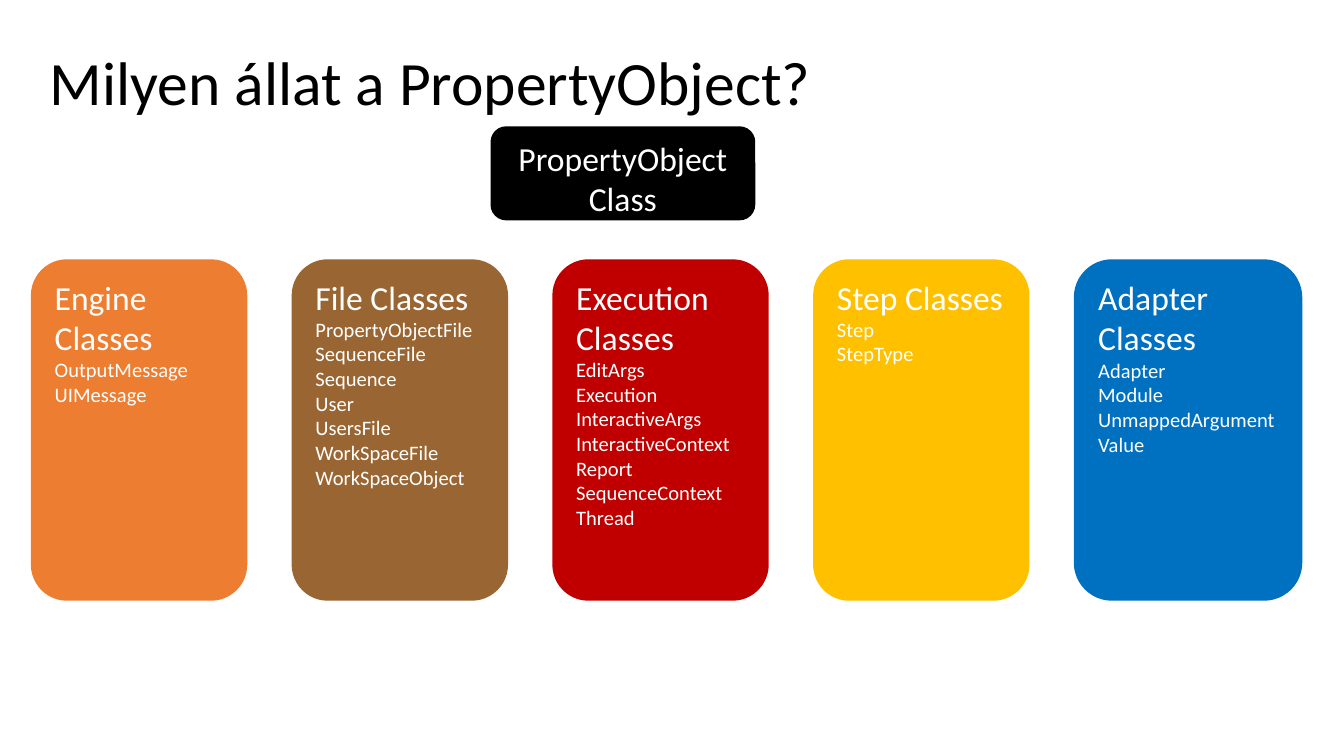
from dataclasses import dataclass

from pptx import Presentation
from pptx.dml.color import RGBColor
from pptx.enum import shapes, text
from pptx.util import Inches, Pt

FONT = "Calibri"
COLOURS = {
    "black": "000000",
    "white": "FFFFFF",
    "orange": "ED7D31",
    "brown": "996633",
    "red": "C00000",
    "yellow": "FFC000",
    "blue": "0070C0",
}
HEADING_SIZE = 18
MEMBER_SIZE = 11

# Class columns: equal steps from the left edge
COLUMN_LEFT, COLUMN_TOP, COLUMN_STEP = 0.23, 1.93, 1.94
COLUMN_WIDTH, COLUMN_HEIGHT = 1.61, 2.54


@dataclass
class ClassGroup:
    heading: str
    colour: str
    members: list[str]
    width: float = COLUMN_WIDTH


GROUPS = [
    ClassGroup("Engine Classes", "orange", ["OutputMessage", "UIMessage"]),
    ClassGroup("File Classes", "brown", [
        "PropertyObjectFile", "SequenceFile", "Sequence", "User",
        "UsersFile", "WorkSpaceFile", "WorkSpaceObject"]),
    ClassGroup("Execution Classes", "red", [
        "EditArgs", "Execution", "InteractiveArgs", "InteractiveContext",
        "Report", "SequenceContext", "Thread"]),
    ClassGroup("Step Classes", "yellow", ["Step", "StepType"]),
    ClassGroup("Adapter Classes", "blue", [
        "Adapter", "Module", "UnmappedArgumentValue"], width=1.7),
]


def style_paragraph(paragraph, size: float, colour: str, align) -> None:
    paragraph.alignment = align
    for span in paragraph.runs:
        span.font.name = FONT
        span.font.size = Pt(size)
        span.font.color.rgb = RGBColor.from_string(COLOURS[colour])


def set_margins(frame) -> None:
    frame.margin_left = frame.margin_right = Inches(0.1)
    frame.margin_top = frame.margin_bottom = Inches(0.05)


def add_class_box(page, left: float, top: float, width: float, height: float,
                  colour: str, lines: list[str], align) -> None:
    """Draw a rounded box whose first line is its heading."""
    box = page.shapes.add_shape(
        shapes.MSO_SHAPE.ROUNDED_RECTANGLE,
        Inches(left), Inches(top), Inches(width), Inches(height))
    box.shadow.inherit = False
    box.fill.solid()
    box.fill.fore_color.rgb = RGBColor.from_string(COLOURS[colour])
    box.line.fill.background()
    frame = box.text_frame
    frame.word_wrap = True
    frame.vertical_anchor = text.MSO_ANCHOR.TOP
    set_margins(frame)
    frame.text = "\n".join(lines)
    for index, paragraph in enumerate(frame.paragraphs):
        size = MEMBER_SIZE if index else HEADING_SIZE
        style_paragraph(paragraph, size, "white", align)


def main() -> None:
    # Widescreen page, 16:9
    deck = Presentation()
    deck.slide_width = Inches(10)
    deck.slide_height = deck.slide_width * 9 // 16
    page = deck.slides.add_slide(deck.slide_layouts[5])

    # Title
    title = page.shapes.title
    title.left, title.top = Inches(0.27), Inches(0.34)
    title.width, title.height = Inches(9.45), Inches(0.6)
    frame = title.text_frame
    frame.text = "Milyen állat a PropertyObject?"
    frame.vertical_anchor = text.MSO_ANCHOR.MIDDLE
    set_margins(frame)
    frame.paragraphs[0].line_spacing = 0.9
    style_paragraph(frame.paragraphs[0], 33, "black", text.PP_ALIGN.LEFT)

    # Base class
    add_class_box(page, 3.65, 0.94, 1.97, 0.7, "black",
                  ["PropertyObject Class"], text.PP_ALIGN.CENTER)

    # Derived classes
    for index, group in enumerate(GROUPS):
        add_class_box(page, COLUMN_LEFT + index * COLUMN_STEP, COLUMN_TOP,
                      group.width, COLUMN_HEIGHT, group.colour,
                      [group.heading, *group.members], text.PP_ALIGN.LEFT)

    deck.save("out.pptx")


if __name__ == "__main__":
    main()
